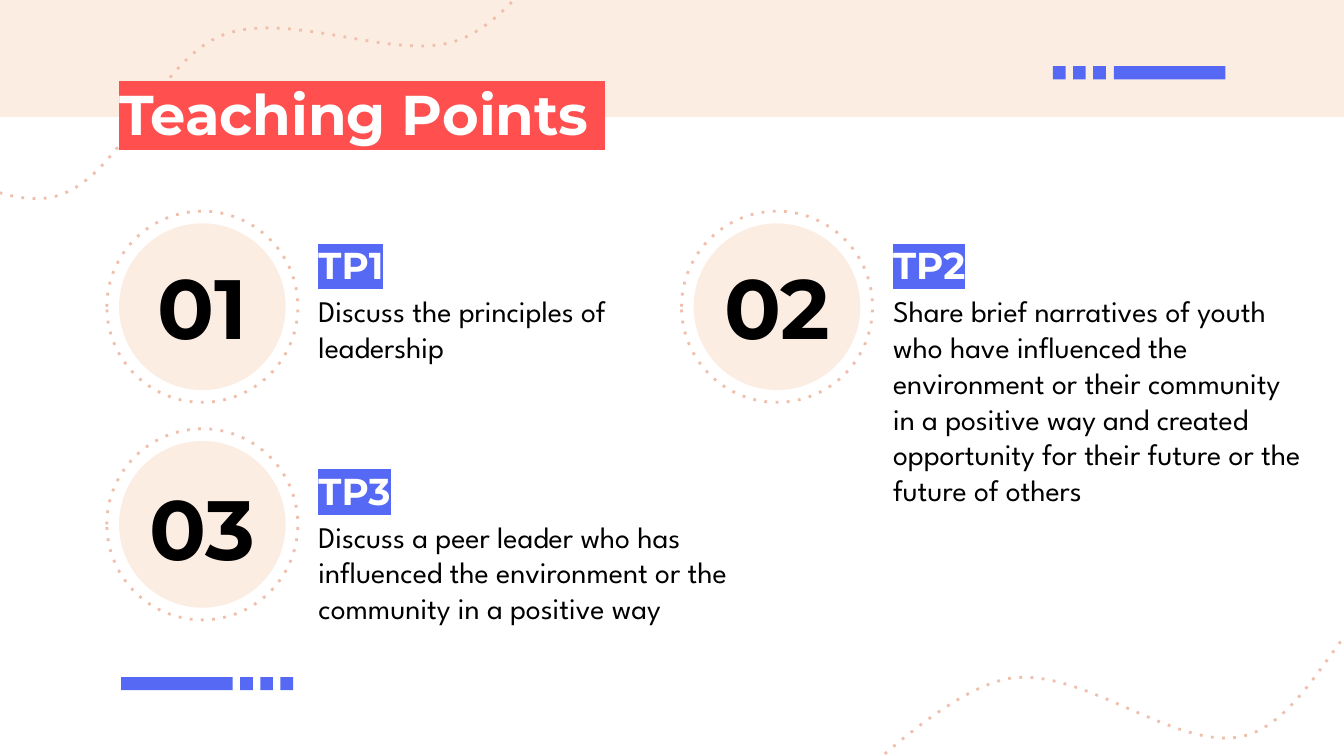
from lxml import etree
from pptx import Presentation
from pptx.dml.color import RGBColor
from pptx.enum.dml import MSO_LINE
from pptx.enum.shapes import MSO_SHAPE
from pptx.enum.text import MSO_ANCHOR, MSO_AUTO_SIZE, PP_ALIGN
from pptx.oxml.ns import qn
from pptx.util import Cm, Pt

RECT, OVAL = MSO_SHAPE.RECTANGLE, MSO_SHAPE.OVAL
DOTS = MSO_LINE.ROUND_DOT
LEFT, CENTER = PP_ALIGN.LEFT, PP_ALIGN.CENTER
TOP, NO_FIT = MSO_ANCHOR.TOP, MSO_AUTO_SIZE.NONE

# Content: number, heading, text, column, row, text width in cm
TITLE = "Teaching Points "
POINTS = [
    ("01", "TP1", "Discuss the principles of leadership", 0, 0, 6.88),
    ("02", "TP2", "Share brief narratives of youth who have influenced the "
     "environment or their community in a positive way and created "
     "opportunity for their future or the future of others", 1, 0, 8.36),
    ("03", "TP3", "Discuss a peer leader who has influenced the environment "
     "or the community in a positive way", 0, 1, 9.22),
]

THEME = {
    "peach": "FCEDE3", "dots": "EFBFAB", "blue": "5669F4",
    # font, size, bold, colour, highlight
    "title": ("Montserrat", 30, True, "FFFFFF", "FF4F4E"),
    "number": ("Montserrat", 45, True, "000000", None),
    "heading": ("Montserrat", 20, True, "FFFFFF", "5669F4"),
    "body": ("League Spartan", 16, False, "000000", None),
}

# Layout in cm
COLUMN_PITCH = 10.86
RING_PITCH, NUMBER_PITCH, TEXT_PITCH = 4.11, 4.17, 4.26
RING, DISK = 3.61, 3.15
SQUARE, SQUARE_PITCH, BAR, BAR_HEIGHT = 0.24, 0.38, 2.11, 0.25
# Start, then two control points and an end for each curve
WAVE = [
    (-7.49, 5.61),
    (-6.83, 5.11), (-4.9, 2.97), (-3.48, 2.64),
    (-2.06, 2.34), (-0.25, 4.04), (1.04, 3.71),
    (2.31, 3.38), (2.95, 1.14), (4.22, 0.66),
    (5.49, 0.18), (7.49, 1.19), (8.66, 0.76),
    (9.83, 0.33), (10.77, -1.5), (11.2, -1.93),
]
WAVE_SHIFTS = [(0, 0), (22.48, 10.19)]


def colour(name):
    return RGBColor.from_string(THEME.get(name, name))


def fill_plain(shape, fill):
    shape.shadow.inherit = False
    shape.fill.solid()
    shape.fill.fore_color.rgb = colour(fill)
    shape.line.fill.background()


def outline_dotted(shape):
    shape.shadow.inherit = False
    shape.fill.background()
    shape.line.color.rgb = colour("dots")
    shape.line.width = Pt(1.5)
    shape.line.dash_style = DOTS
    # Widely spaced dots have no public enum member
    shape._element.spPr.find(".//" + qn("a:prstDash")).set("val", "dot")


def add_shape(kind, left, top, width, height):
    return slide.shapes.add_shape(kind, Cm(left), Cm(top), Cm(width), Cm(height))


def add_wave(dx, dy):
    start, *points = [(Cm(x + dx), Cm(y + dy)) for x, y in WAVE]
    builder = slide.shapes.build_freeform(*start)
    builder.add_line_segments(points, close=False)
    wave = builder.convert_to_shape()
    # Join each three straight segments into one Bezier curve
    segments = wave._element.spPr.findall(".//" + qn("a:lnTo"))
    outline = segments[0].getparent()
    for i in range(0, len(segments), 3):
        curve = etree.SubElement(outline, qn("a:cubicBezTo"))
        for segment in segments[i:i + 3]:
            curve.append(segment[0])
            outline.remove(segment)
    outline_dotted(wave)


def write(holder, text, style, align=LEFT):
    family, size, bold, ink, highlight = THEME[style]
    frame = holder.text_frame
    frame.word_wrap = True
    frame.auto_size = NO_FIT
    frame.vertical_anchor = TOP
    frame.margin_left = frame.margin_right = Cm(0.25)
    frame.margin_top = frame.margin_bottom = Cm(0.25)
    paragraph = frame.paragraphs[0]
    paragraph.alignment = align
    run = paragraph.add_run()
    run.text = text
    font = paragraph.font
    font.name, font.size, font.bold = family, Pt(size), bold
    font.color.rgb = colour(ink)
    if highlight:
        mark = etree.SubElement(run.font._element, qn("a:highlight"))
        etree.SubElement(mark, qn("a:srgbClr"), val=highlight)


def add_text(text, style, left, top, width, height, align=LEFT):
    box = slide.shapes.add_textbox(Cm(left), Cm(top), Cm(width), Cm(height))
    write(box, text, style, align)


deck = Presentation()
deck.slide_width, deck.slide_height = Cm(25.4), Cm(14.28)
slide = deck.slides.add_slide(deck.slide_layouts[5])

# Background band and dotted waves
fill_plain(add_shape(RECT, -0.02, 0, 25.42, 2.21), "peach")
for shift in WAVE_SHIFTS:
    add_wave(*shift)

# Bars with three squares: left of the upper bar, right of the lower one
for bar_left, squares_left, top in [(21.05, 19.9, 1.25), (2.29, 4.54, 12.79)]:
    fill_plain(add_shape(RECT, bar_left, top, BAR, BAR_HEIGHT), "blue")
    for i in range(3):
        square = add_shape(RECT, squares_left + i * SQUARE_PITCH, top, SQUARE, BAR_HEIGHT)
        fill_plain(square, "blue")

# Title, brought in front of the band and waves
title = slide.shapes.title
title.left, title.top, title.width, title.height = Cm(2), Cm(1.25), Cm(21.41), Cm(1.6)
write(title, TITLE, "title")
slide.shapes._spTree.append(title._element)

# Teaching points
inset = (RING - DISK) / 2
for number, heading, body, column, row, body_width in POINTS:
    x = column * COLUMN_PITCH
    ring_left, ring_top = 2.02 + x, 3.99 + row * RING_PITCH
    text_shift = row * TEXT_PITCH
    outline_dotted(add_shape(OVAL, ring_left, ring_top, RING, RING))
    fill_plain(add_shape(OVAL, ring_left + inset, ring_top + inset, DISK, DISK), "peach")
    add_text(number, "number", 1.9 + x, 4.58 + row * NUMBER_PITCH, 3.86, 2.82, CENTER)
    add_text(body, "body", 5.77 + x, 5.28 + text_shift, body_width, 1.45)
    add_text(heading, "heading", 5.77 + x, 4.33 + text_shift, 6.88, 1.22)

deck.save("out.pptx")
